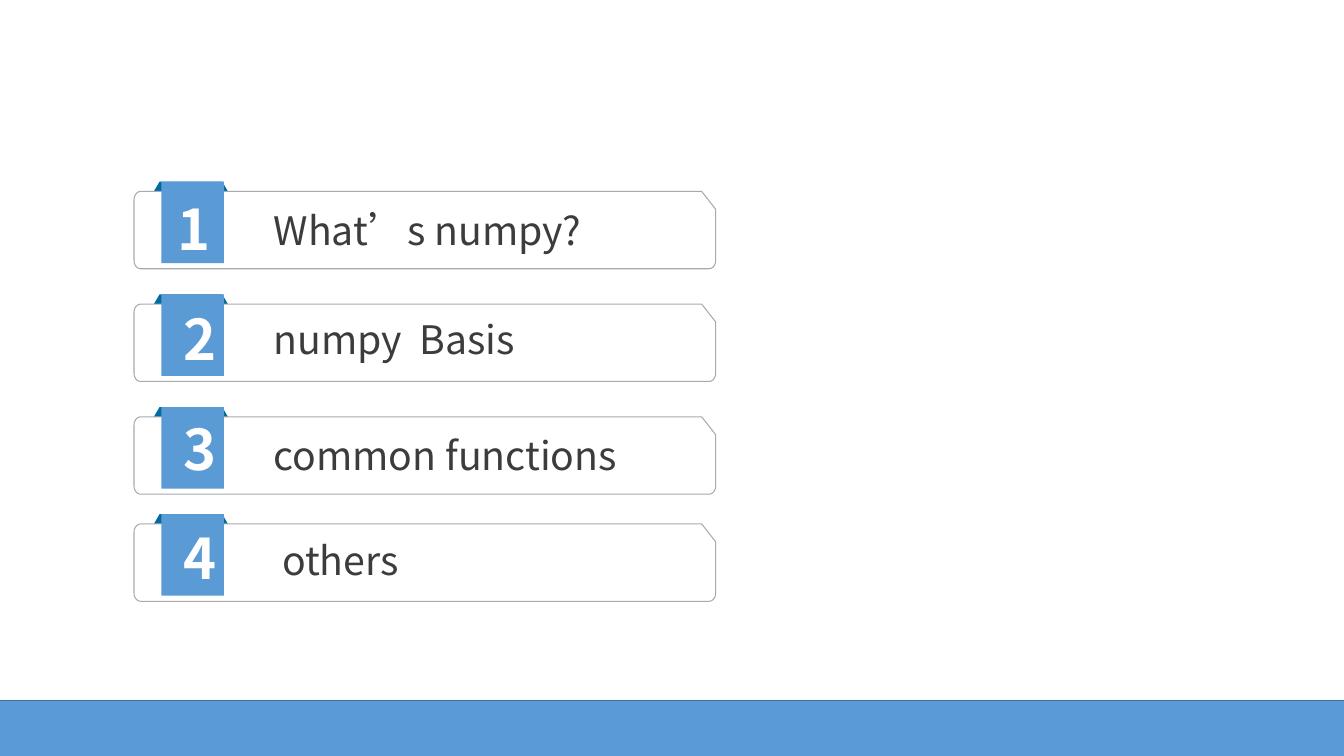
"""Build the numbered agenda slide."""
from dataclasses import dataclass
from math import cos, pi, sin

from pptx import Presentation
from pptx.dml.color import RGBColor
from pptx.enum.shapes import MSO_SHAPE
from pptx.enum.text import MSO_AUTO_SIZE
from pptx.util import Pt

RECTANGLE = MSO_SHAPE.RECTANGLE
FIT_SHAPE = MSO_AUTO_SIZE.SHAPE_TO_FIT_TEXT


@dataclass(frozen=True)
class Theme:
    """Colours, font and type sizes of the slide."""
    blue: str = "5B9BD5"
    blue_edge: str = "43739E"
    fold: str = "006BA0"
    white: str = "FFFFFF"
    card_edge: str = "A8A9AD"
    ink: str = "3C3C3C"
    font: str = "Noto Sans CJK SC"
    title_size: float = 28
    number_size: float = 40


class AgendaSlide:
    """Draw agenda elements on one slide in one theme."""

    def __init__(self, slide, theme):
        """Keep the slide and its theme."""
        self.shapes = slide.shapes
        self.theme = theme

    def paint(self, shape, fill, edge=None, edge_width=0):
        """Set the fill and the outline of a shape."""
        shape.shadow.inherit = False
        shape.fill.solid()
        shape.fill.fore_color.rgb = RGBColor.from_string(fill)
        if edge is None:
            shape.line.fill.background()
        else:
            shape.line.color.rgb = RGBColor.from_string(edge)
            shape.line.width = Pt(edge_width)

    def rectangle(self, left, top, width, height, fill, edge=None, edge_width=0):
        """Add a plain rectangle."""
        shape = self.shapes.add_shape(RECTANGLE, Pt(left), Pt(top), Pt(width), Pt(height))
        self.paint(shape, fill, edge, edge_width)

    def outline(self, points, fill, edge=None):
        """Add a closed polygon."""
        corners = [(Pt(x), Pt(y)) for x, y in points]
        builder = self.shapes.build_freeform(*corners[0])
        builder.add_line_segments(corners[1:], close=True)
        self.paint(builder.convert_to_shape(), fill, edge)

    def corner(self, center_x, center_y, radius_x, radius_y, start):
        """Return the points of a quarter turn from a start angle."""
        angles = [start + step * pi / 16 for step in range(9)]
        return [(center_x + radius_x * cos(a), center_y + radius_y * sin(a)) for a in angles]

    def card(self, left, top, width, height):
        """Add a card with three round corners and one cut corner."""
        right, bottom = left + width, top + height
        radius_x, radius_y = 4.75, 6
        points = [(right - 10, top), (right, top + 12.75)]
        for x, y, start in (
            (right - radius_x, bottom - radius_y, 0),
            (left + radius_x, bottom - radius_y, pi / 2),
            (left + radius_x, top + radius_y, pi),
        ):
            points += self.corner(x, y, radius_x, radius_y, start)
        self.outline(points, self.theme.white, self.theme.card_edge)

    def fold(self, left, top, width, height, slant):
        """Add the folded ribbon end behind a card."""
        right, bottom = left + width, top + height
        points = [(left + slant, top), (right - slant, top), (right, bottom), (left, bottom)]
        self.outline(points, self.theme.fold)

    def text(self, left, top, width, height, words, color, **format_values):
        """Add a one-line text box."""
        frame = self.shapes.add_textbox(Pt(left), Pt(top), Pt(width), Pt(height)).text_frame
        frame.word_wrap = True
        frame.auto_size = FIT_SHAPE
        run = frame.paragraphs[0].add_run()
        run.text = words
        run.font.color.rgb = RGBColor.from_string(color)
        for name, value in {"name": self.theme.font, **format_values}.items():
            setattr(run.font, name, value)

    def item(self, top, number, number_left, number_top, title, title_left, title_top):
        """Add one agenda row."""
        theme = self.theme
        self.fold(108.75, top, 55.25, 9, 5.25)
        self.card(95.75, top + 7, 415.5, 55.25)
        self.rectangle(115.25, top, 44.75, 58.25, theme.blue)
        self.text(title_left, title_top, 304, 41, title, theme.ink, size=Pt(theme.title_size))
        self.text(number_left, number_top, 31, 55.5, str(number), theme.white,
                  size=Pt(theme.number_size), bold=True)


def main():
    """Create the presentation and save it."""
    presentation = Presentation()
    presentation.slide_width, presentation.slide_height = Pt(960), Pt(540)
    theme = Theme()
    agenda = AgendaSlide(presentation.slides.add_slide(presentation.slide_layouts[6]), theme)
    agenda.rectangle(-62.5, 500.25, 1084.5, 47.5, theme.blue, theme.blue_edge, 1)
    items = [
        (129.75, 119.5, "What’s numpy?", 188.5, 144),
        (210.25, 123.75, "numpy  Basis", 188.5, 221.75),
        (290.75, 123.75, "common functions", 188.5, 304.5),
        (367.25, 123.75, "others", 194.5, 379.5),
    ]
    for index, (top, number_left, title, title_left, title_top) in enumerate(items):
        number_top = 135.25 + 78.5 * index
        agenda.item(top, index + 1, number_left, number_top, title, title_left, title_top)
    presentation.save("out.pptx")


if __name__ == "__main__":
    main()
